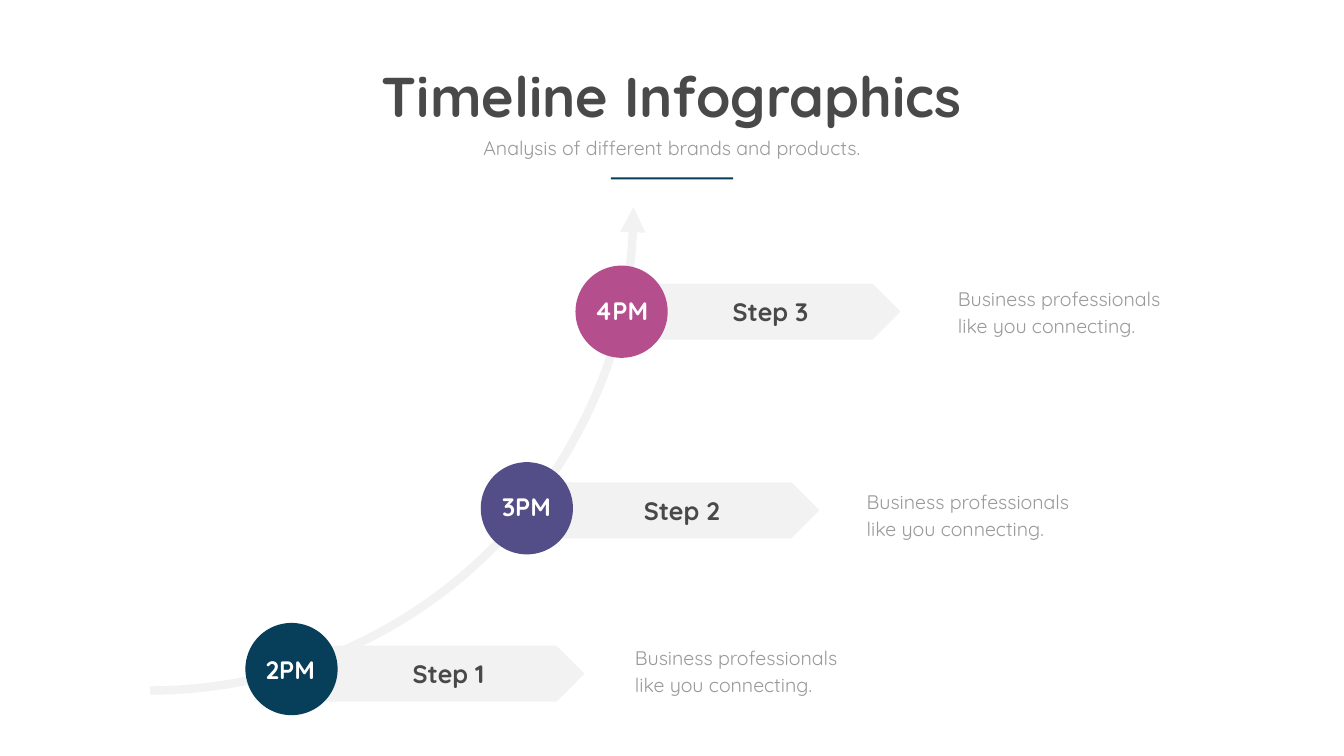
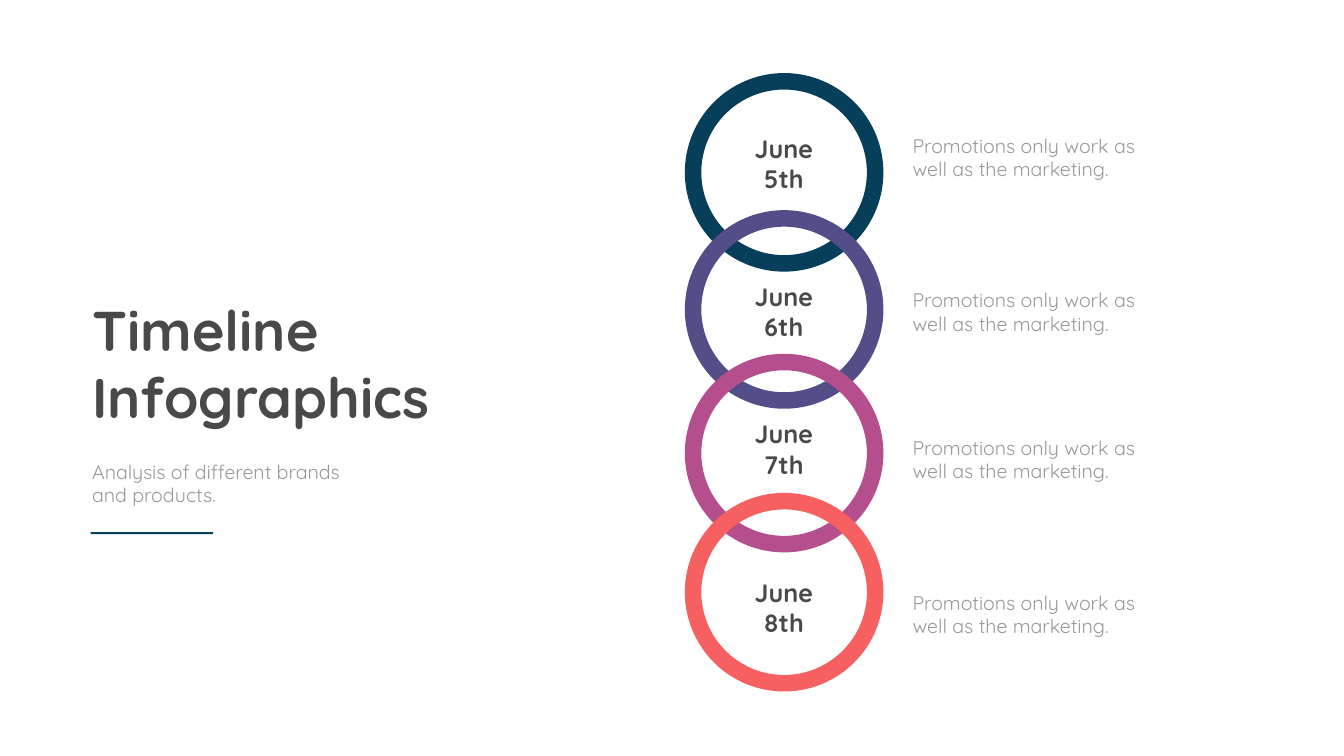
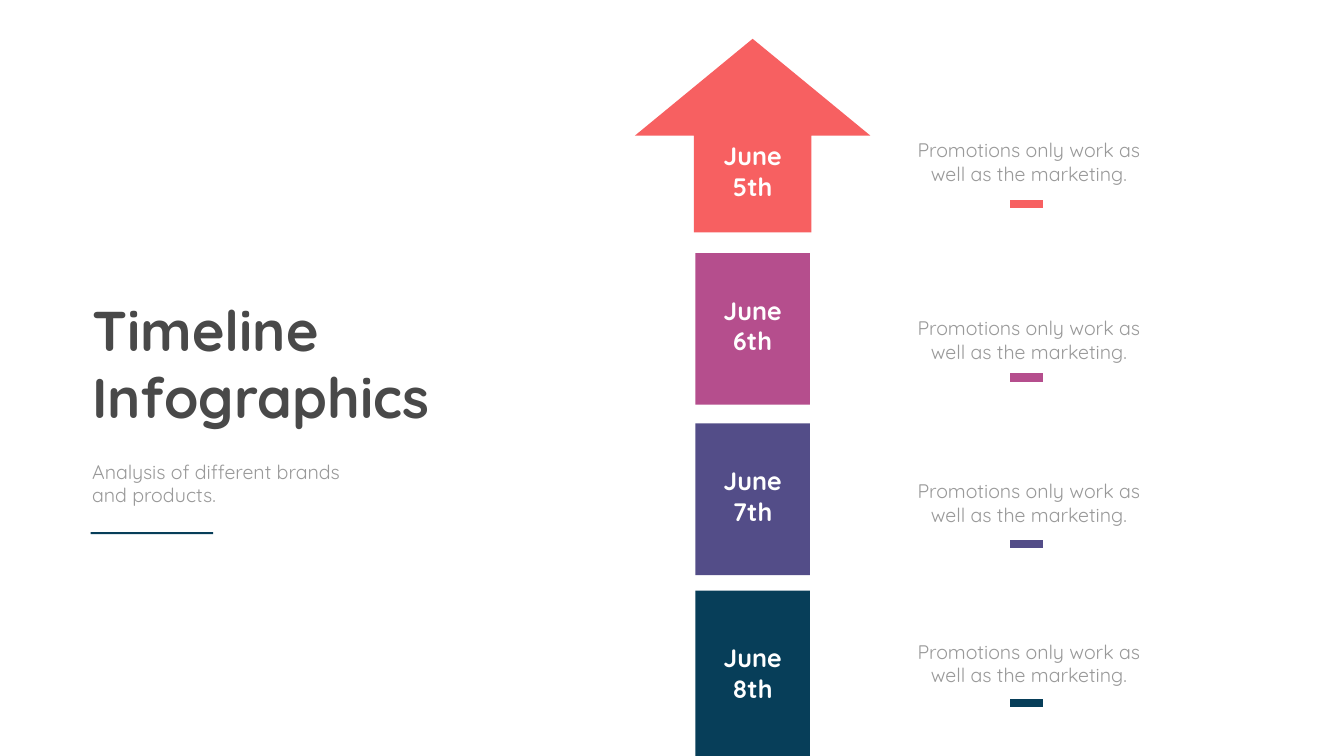
"""Build three timeline infographic slides."""
import dataclasses

import lxml.etree
import pptx
import pptx.dml.color
import pptx.enum.shapes
import pptx.enum.text
import pptx.oxml.ns
import pptx.util

Inches = pptx.util.Inches
SHAPE = pptx.enum.shapes.MSO_SHAPE
ALIGN = pptx.enum.text.PP_ALIGN


@dataclasses.dataclass(frozen=True)
class Theme:
    font: str = "Quicksand"
    background: str = "FFFFFF"
    heading: str = "494949"
    body: str = "999999"
    pale: str = "F2F2F2"
    navy: str = "073E59"
    violet: str = "534D88"
    magenta: str = "B54E8D"
    coral: str = "F76061"
    title_size: int = 80
    label_size: int = 36
    body_size: int = 28
    body_leading: float = 38.6
    stroke: int = 12


class Deck:
    def __init__(self, theme):
        self.theme = theme
        self.presentation = pptx.Presentation()
        self.presentation.slide_width = Inches(26.67)
        self.presentation.slide_height = Inches(15)
        self.slide = None

    def new_slide(self):
        self.slide = self.presentation.slides.add_slide(self.presentation.slide_layouts[6])
        fill = self.slide.background.fill
        fill.solid()
        fill.fore_color.rgb = self.color(self.theme.background)

    def color(self, value):
        return pptx.dml.color.RGBColor.from_string(value)

    def shape(self, kind, left, top, width, height, color):
        shape = self.slide.shapes.add_shape(
            kind, Inches(left), Inches(top), Inches(width), Inches(height))
        shape.shadow.inherit = False
        shape.fill.solid()
        shape.fill.fore_color.rgb = self.color(color)
        shape.line.fill.background()
        return shape

    def text(self, text, left, top, width, height, size, color,
             bold=False, align=ALIGN.CENTER, wrap=True, leading=None):
        box = self.slide.shapes.add_textbox(
            Inches(left), Inches(top), Inches(width), Inches(height))
        frame = box.text_frame
        frame.text = text
        frame.word_wrap = wrap
        frame.auto_size = pptx.enum.text.MSO_AUTO_SIZE.SHAPE_TO_FIT_TEXT
        for paragraph in frame.paragraphs:
            paragraph.alignment = align
            if leading:
                paragraph.line_spacing = pptx.util.Pt(leading)
            for run in paragraph.runs:
                run.font.name = self.theme.font
                run.font.size = pptx.util.Pt(size)
                run.font.bold = bold
                run.font.color.rgb = self.color(color)

    def title(self, text, left, top, width, height, **options):
        self.text(text, left, top, width, height,
                  self.theme.title_size, self.theme.heading, bold=True, **options)

    def label(self, text, left, top, width, height, color, **options):
        self.text(text, left, top, width, height,
                  self.theme.label_size, color, bold=True, **options)

    def body(self, text, left, top, width, height, **options):
        self.text(text, left, top, width, height,
                  self.theme.body_size, self.theme.body, **options)

    def rule(self, left, top):
        self.shape(SHAPE.RECTANGLE, left, top, 2.43, 0.04, self.theme.navy)

    def side_heading(self):
        self.title(TITLE.replace(" ", "\n"), 1.73, 5.82, 7.1, 2.79, align=ALIGN.LEFT)
        self.body(SUBTITLE, 1.73, 9.07, 5.34, 1.04, align=ALIGN.LEFT)
        self.rule(1.8, 10.56)

    def date(self, day, left, top, color):
        self.label(f"June\n{day}", left, top, 1.37, 1.31, color, wrap=False)

    def curved_arrow(self, left, top, size):
        arc = self.shape(SHAPE.ARC, left, top, size, size, self.theme.pale)
        arc.rotation = 90
        arc.fill.background()
        arc.line.color.rgb = self.color(self.theme.pale)
        arc.line.width = pptx.util.Pt(self.theme.stroke)
        lxml.etree.SubElement(
            arc.line._get_or_add_ln(), pptx.oxml.ns.qn("a:headEnd"), type="triangle")

    def dash(self, left, y, color):
        line = self.slide.shapes.add_connector(
            pptx.enum.shapes.MSO_CONNECTOR.STRAIGHT,
            Inches(left + 0.64), Inches(y), Inches(left), Inches(y))
        line.line.color.rgb = self.color(color)
        line.line.width = pptx.util.Pt(self.theme.stroke)
        lxml.etree.SubElement(
            line._element.spPr, pptx.oxml.ns.qn("a:effectLst"))


TITLE = "Timeline Infographics"
SUBTITLE = "Analysis of different brands and products."
CONNECTING = "Business professionals like you connecting."
PROMOTIONS = "Promotions only work as well as the marketing."
DAYS = ("5th", "6th", "7th", "8th")


def build_step_slide(deck):
    theme = deck.theme
    deck.new_slide()
    deck.title(TITLE, 7.47, 1.17, 11.72, 1.45, wrap=False)
    deck.body(SUBTITLE, 8.55, 2.65, 9.56, 0.57)
    deck.rule(12.12, 3.52)
    deck.curved_arrow(-6.61, -5.48, 19.18)
    steps = (
        ("Step 1", "2PM", theme.navy, (5.74, 12.81), (4.87, 12.36), (5.03, 12.93), 7.25, (12.5, 12.7)),
        ("Step 2", "3PM", theme.violet, (10.4, 9.57), (9.54, 9.17), (9.72, 9.7), 11.88, (17.1, 9.61)),
        ("Step 3", "4PM", theme.magenta, (12.01, 5.63), (11.42, 5.27), (11.6, 5.8), 13.64, (18.91, 5.57)),
    )
    for name, hour, color, banner, circle, hour_at, name_left, note in steps:
        deck.shape(SHAPE.PENTAGON, *banner, 5.86, 1.11, theme.pale)
        deck.shape(SHAPE.OVAL, *circle, 1.83, 1.83, color)
        deck.label(hour, *hour_at, 1.46, 0.71, theme.background)
        deck.label(name, name_left, banner[1] + 0.2, 3.3, 0.71, theme.heading)
        deck.body(CONNECTING, *note, 4.89, 1.18, align=ALIGN.LEFT, leading=theme.body_leading)


def build_ring_slide(deck):
    theme = deck.theme
    deck.new_slide()
    deck.side_heading()
    colors = (theme.navy, theme.violet, theme.magenta, theme.coral)
    for color, top in zip(colors, (1.45, 4.17, 7.02, 9.78)):
        ring = deck.shape(SHAPE.DONUT, 13.59, top, 3.94, 3.94, color)
        ring.adjustments[0] = 0.083
    date_tops = (2.6, 5.53, 8.26, 11.4)
    note_tops = (2.6, 5.67, 8.59, 11.67)
    for day, date_top, note_top in zip(DAYS, date_tops, note_tops):
        deck.date(day, 14.87, date_top, theme.heading)
        deck.body(PROMOTIONS, 18.01, note_top, 5.39, 1.04, align=ALIGN.LEFT)


def build_tower_slide(deck):
    theme = deck.theme
    deck.new_slide()
    deck.side_heading()
    arrow = deck.shape(SHAPE.DOWN_ARROW, 12.6, 0.77, 4.67, 3.84, theme.coral)
    arrow.rotation = 180
    colors = (theme.coral, theme.magenta, theme.violet, theme.navy)
    blocks = ((5.02, 3.01), (8.4, 3.01), (11.72, 3.28))
    for color, (top, height) in zip(colors[1:], blocks):
        deck.shape(SHAPE.RECTANGLE, 13.8, top, 2.27, height, color)
    rows = zip(DAYS, colors, (2.74, 5.81, 9.19, 12.7),
               (2.69, 6.22, 9.46, 12.64), (4.05, 7.49, 10.79, 13.95))
    for day, color, date_top, note_top, dash_y in rows:
        deck.date(day, 14.25, date_top, theme.background)
        deck.body(PROMOTIONS, 17.72, note_top, 5.39, 1.04)
        deck.dash(20.05, dash_y, color)


deck = Deck(Theme())
build_step_slide(deck)
build_ring_slide(deck)
build_tower_slide(deck)
deck.presentation.save("out.pptx")
